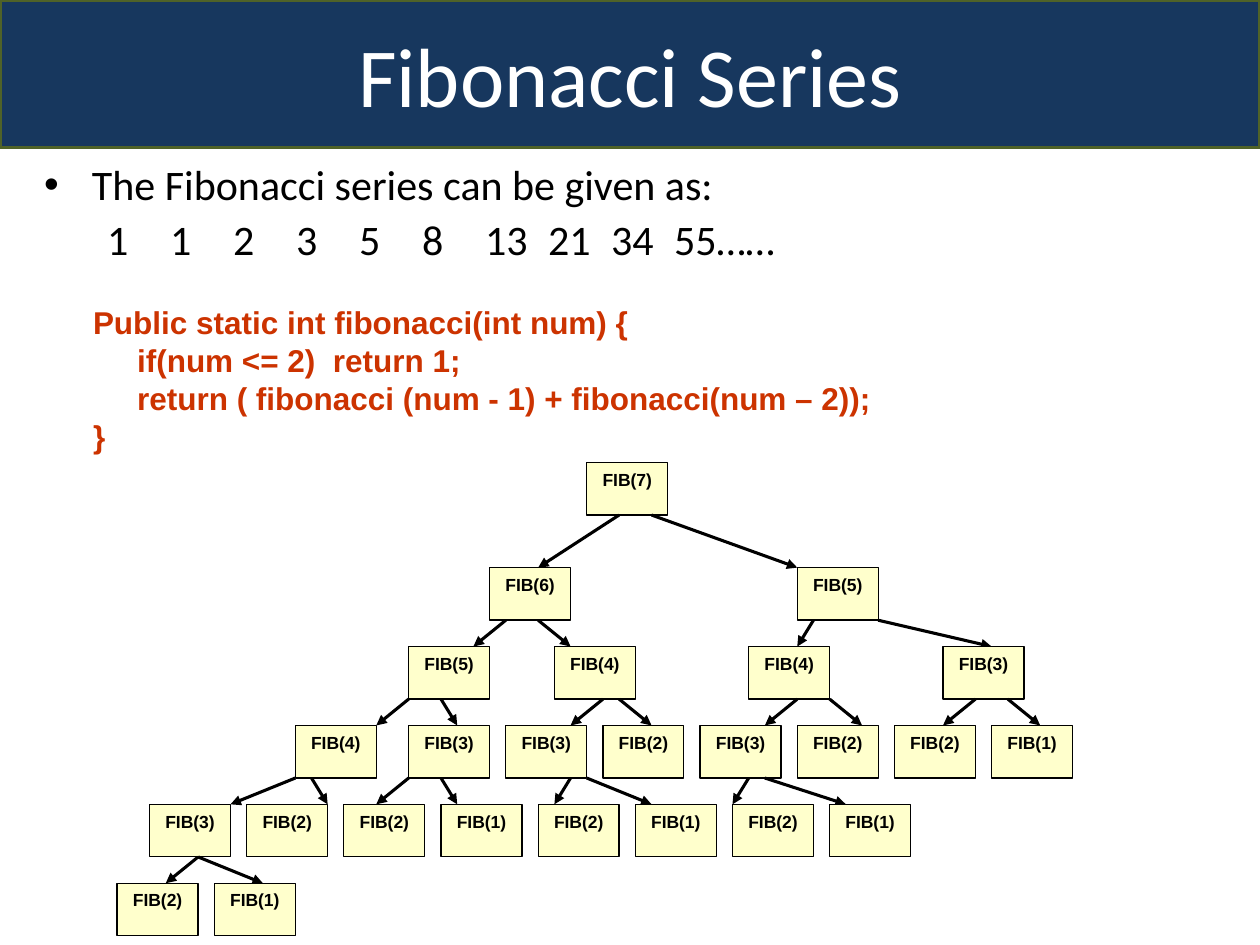
from pptx import Presentation
from pptx.dml.color import RGBColor
from pptx.enum import shapes, text
from pptx.oxml.ns import qn
from pptx.util import Inches, Pt
from lxml import etree

COLORS = {"banner": "17375E", "banner_line": "4F6228", "white": "FFFFFF",
          "black": "000000", "node": "FFFFCC", "code": "CC3300"}

# The call tree sits on a fine grid: columns and rows are counted from its corner.
TREE_LEFT, TREE_TOP = 0.93, 3.67
COL = (7.87 - TREE_LEFT) / 54
ROW = (7.01 - TREE_TOP) / 16
NODE_COLS, NODE_ROWS = 5, 2
LEVEL_ROWS = [0, 4, 7, 10, 13, 16]

# Each node: argument, left column, then arrows as (start column, end column).
LEVELS = [
    [(7, 29, (31, 26), (33, 42))],
    [(6, 23, (24, 22), (26, 28)), (5, 42, (43, 42), (47, 54))],
    [(5, 18, (18, 16), (20, 21)), (4, 27, (30, 28), (31, 33)),
     (4, 39, (42, 40), (44, 46)), (3, 51, (53, 51), (55, 57))],
    [(4, 11, (11, 7), (12, 13)), (3, 18, (18, 16), (20, 21)),
     (3, 24, (28, 27), (29, 33)), (2, 30),
     (3, 36, (39, 38), (40, 45)), (2, 42), (2, 48), (1, 54)],
    [(3, 2, (5, 3), (5, 9)), (2, 8), (2, 14), (1, 20),
     (2, 26), (1, 32), (2, 38), (1, 44)],
    [(2, 0), (1, 6)],
]

SERIES = ["1", "1", "2", "3", "5", "8", "13", "21", "34", "55……"]
SERIES_STOPS = [0.38, 0.78, 1.17, 1.71, 2.11, 2.73, 3.13, 3.91, 4.63, 5.19]

CODE = [  # text, indent
    ("Public static int fibonacci(int num) {", 0),
    ("if(num <= 2)  return 1;", 0.35),
    ("return ( fibonacci (num - 1) + fibonacci(num – 2));", 0.35),
    ("}", 0),
]


def rgb(name):
    return RGBColor.from_string(COLORS[name])


def grid_x(col):
    return Inches(TREE_LEFT + col * COL)


def grid_y(row):
    return Inches(TREE_TOP + row * ROW)


class SlideBuilder:
    def __init__(self, slide):
        self.s = slide

    def place(self, sp, left, top, width, height):
        sp.left, sp.top = Inches(left), Inches(top)
        sp.width, sp.height = Inches(width), Inches(height)
        sp.text_frame.word_wrap = True
        sp.text_frame.auto_size = text.MSO_AUTO_SIZE.NONE

    def run(self, p, content, size, color, font, bold=False):
        r = p.add_run()
        r.text = content
        r.font.size, r.font.name, r.font.bold = Pt(size), font, bold
        r.font.color.rgb = rgb(color)

    def indent(self, p, margin, first=0):
        pPr = p._p.get_or_add_pPr()
        pPr.set("marL", str(Inches(margin)))
        pPr.set("indent", str(Inches(first)))
        return pPr

    def title(self, content):
        sp = self.s.shapes.title
        self.place(sp, 0, 0, 10, 1.17)
        sp.fill.solid()
        sp.fill.fore_color.rgb = rgb("banner")
        sp.line.color.rgb = rgb("banner_line")
        sp.line.width = Pt(2)
        tf = sp.text_frame
        tf.vertical_anchor = text.MSO_ANCHOR.MIDDLE
        p = tf.paragraphs[0]
        p.alignment = text.PP_ALIGN.CENTER
        self.run(p, content, 48, "white", "Calibri")

    def body(self, lead, numbers, stops):
        """Bulleted lead line, then the numbers set out on tab stops."""
        sp = self.s.placeholders[1]
        self.place(sp, 0.25, 1.25, 9.67, 2.75)
        tf = sp.text_frame
        lead_p, numbers_p = tf.paragraphs[0], tf.add_paragraph()
        for p in (lead_p, numbers_p):
            p.line_spacing = 0.9
            p.space_before = Pt(6)
        self.indent(lead_p, 0.38, -0.38)
        self.run(lead_p, lead, 24, "black", "Calibri")
        pPr = self.indent(numbers_p, 0)
        etree.SubElement(pPr, qn("a:buNone"))
        tabs = etree.SubElement(pPr, qn("a:tabLst"))
        for stop in stops:
            etree.SubElement(tabs, qn("a:tab"), pos=str(Inches(stop)), algn="l")
        self.run(numbers_p, "".join("\t" + n for n in numbers), 24, "black", "Calibri")

    def code(self, lines):
        sp = self.s.shapes.add_textbox(0, 0, 0, 0)
        self.place(sp, 0.64, 2.36, 8.67, 1.3)
        tf = sp.text_frame
        for i, (line, margin) in enumerate(lines):
            p = tf.add_paragraph() if i else tf.paragraphs[0]
            self.indent(p, margin)
            self.run(p, line, 18, "code", "Arial", bold=True)

    def node(self, number, col, row):
        sp = self.s.shapes.add_shape(shapes.MSO_SHAPE.RECTANGLE, grid_x(col), grid_y(row),
                                     Inches(NODE_COLS * COL), Inches(NODE_ROWS * ROW))
        sp.shadow.inherit = False
        sp.fill.solid()
        sp.fill.fore_color.rgb = rgb("node")
        sp.line.color.rgb = rgb("black")
        sp.line.width = Pt(0.75)
        tf = sp.text_frame
        tf.word_wrap = True
        tf.vertical_anchor = text.MSO_ANCHOR.TOP
        p = tf.paragraphs[0]
        p.alignment = text.PP_ALIGN.CENTER
        self.run(p, f"FIB({number})", 10, "black", "Arial", bold=True)

    def arrow(self, start_col, start_row, end_col, end_row):
        line = self.s.shapes.add_connector(
            shapes.MSO_CONNECTOR.STRAIGHT, grid_x(start_col), grid_y(start_row),
            grid_x(end_col), grid_y(end_row))
        line.line.color.rgb = rgb("black")
        line.line.width = Pt(1.75)
        etree.SubElement(line.line._get_or_add_ln(), qn("a:tailEnd"), type="triangle")
        etree.SubElement(line._element.spPr, qn("a:effectLst"))

    def tree(self, levels):
        for i, nodes in enumerate(levels):
            row = LEVEL_ROWS[i]
            for number, col, *arrows in nodes:
                self.node(number, col, row)
                for start, end in arrows:
                    self.arrow(start, row + NODE_ROWS, end, LEVEL_ROWS[i + 1])


def main():
    prs = Presentation()
    prs.slide_width, prs.slide_height = Inches(10), Inches(7.5)
    builder = SlideBuilder(prs.slides.add_slide(prs.slide_layouts[1]))
    builder.title("Fibonacci Series")
    builder.body("The Fibonacci series can be given as:", SERIES, SERIES_STOPS)
    builder.tree(LEVELS)
    builder.code(CODE)
    prs.save("out.pptx")


if __name__ == "__main__":
    main()
